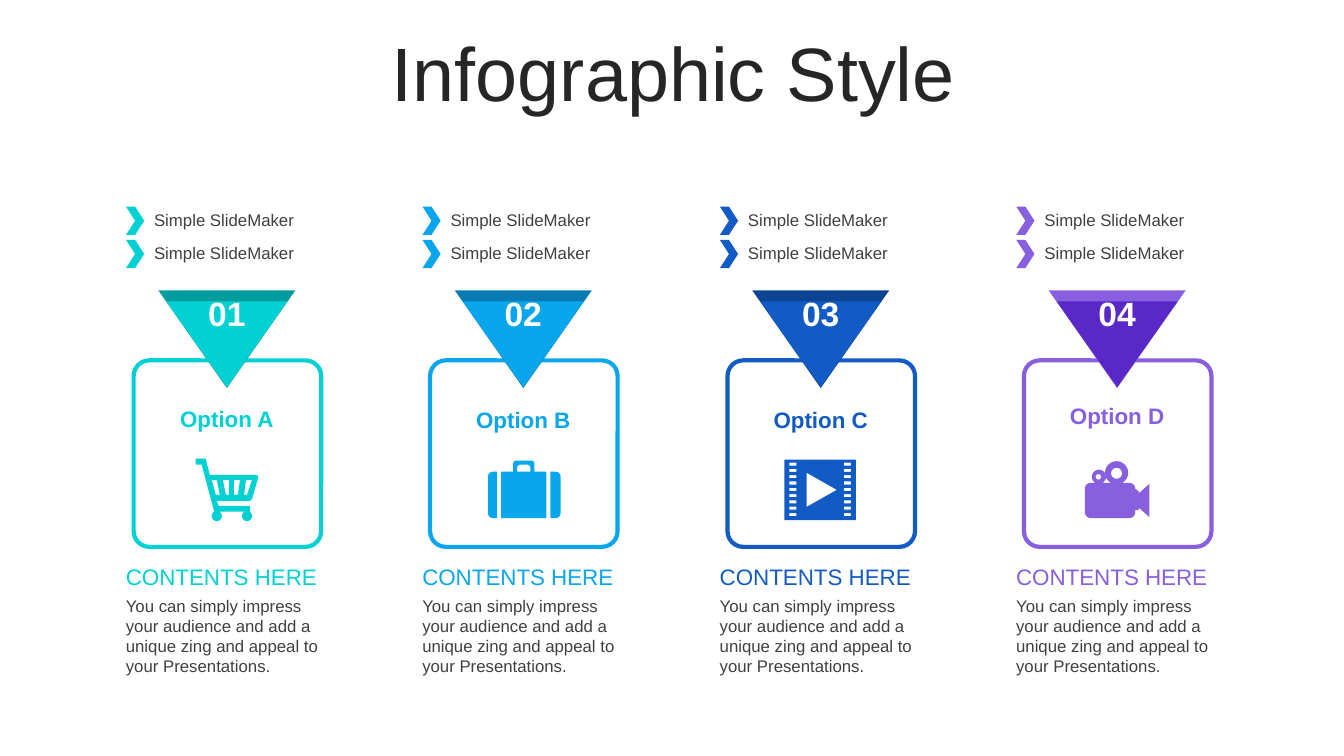
from math import cos, radians, sin
from pptx import Presentation
from pptx import util as u
from pptx.dml.color import RGBColor
from pptx.enum import shapes, text

PX = 9144
STEP = 294.33
COLORS = {
    "title": "262626", "body": "404040", "white": "FFFFFF",
    "teal": "01D1D3", "pine": "019D9E", "sky": "0AA6ED", "steel": "087CB2",
    "blue": "125AC4", "navy": "0D4393", "lilac": "875FDF", "grape": "5928C7",
}
KIND = shapes.MSO_SHAPE
MID = text.PP_ALIGN.CENTER
TOP, CORE, LOW = text.MSO_ANCHOR.TOP, text.MSO_ANCHOR.MIDDLE, text.MSO_ANCHOR.BOTTOM
BULLET = "Simple SlideMaker"
BLURB = ("You can simply impress your audience and add a unique zing "
         "and appeal to your Presentations.")


def rgb(name):
    """Return the named colour."""
    return RGBColor.from_string(COLORS[name])


def paint(shape, fill, line=None):
    """Set the fill and the outline of a shape."""
    shape.shadow.inherit = False
    shape.fill.solid()
    shape.fill.fore_color.rgb = rgb(fill)
    if line:
        shape.line.color.rgb = rgb(line)
        shape.line.width = u.Pt(3)
    else:
        shape.line.fill.background()


def add_form(slide, kind, box, fill, line=None, turn=0):
    """Add a painted preset shape."""
    shape = slide.shapes.add_shape(kind, *(n * PX for n in box))
    shape.rotation = turn
    paint(shape, fill, line)
    return shape


def add_label(slide, words, box, size, color, bold=False, align=None, anchor=TOP):
    """Add a text box with one paragraph."""
    frame = slide.shapes.add_textbox(*(n * PX for n in box)).text_frame
    frame.word_wrap = True
    frame.vertical_anchor = anchor
    frame.text = words
    para = frame.paragraphs[0]
    para.alignment = align
    font = para.runs[0].font
    font.name, font.size, font.bold = "Arial", u.Pt(size), bold
    font.color.rgb = rgb(color)
    return para


def arc(x, y, r, start=0, end=360):
    """Return points along a clockwise arc."""
    turns = [radians(start + (end - start) * n / 20) for n in range(21)]
    return [(x + r * cos(a), y + r * sin(a)) for a in turns]


def bar(x, y, w, h):
    """Return the corners of a rectangle."""
    return [(x, y), (x + w, y), (x + w, y + h), (x, y + h)]


def cart():
    """Return the outlines of a shopping cart."""
    frame = [(194, 455), (204, 455), (208, 471), (253, 471), (256, 472), (256, 474),
             (250, 495), (248, 497), (215, 497), (217, 502), (248, 502), (248, 507)]
    frame += arc(245, 512, 5, -60, 240) + arc(215, 512, 5, -60, 240)
    frame += [(200, 461), (194, 461)]
    return [frame,
            [(244, 476), (242, 491), (245, 491), (250, 476)],
            [(232, 476), (232, 491), (236, 491), (238, 476)],
            [(221, 476), (224, 491), (227, 491), (227, 476)],
            [(210, 476), (214, 491), (218, 491), (215, 476)]]


def case():
    """Return the outlines of a suitcase."""
    left = [(493, 514)] + arc(489, 509, 5, 90, 180) + arc(489, 473, 5, 180, 270) + [(493, 468)]
    right = [(546, 468)] + arc(551, 473, 5, 270, 360) + arc(551, 509, 5, 0, 90) + [(546, 514)]
    body = [(497, 468), (509, 468)] + arc(512, 460, 3, 180, 270)
    body += arc(527, 460, 3, 270, 360) + [(530, 468), (542, 468), (542, 514), (497, 514)]
    grip = [(513, 468)] + arc(516, 464, 3, 180, 270) + arc(523, 464, 3, 270, 360) + [(526, 468)]
    return [left, right, body, grip]


def film():
    """Return the outlines of a film frame."""
    holes = [bar(x, 459 + 6.25 * row, 7, 3) for x in (783, 837) for row in range(9)]
    return [bar(778, 456, 71, 60), [(800, 469), (800, 503), (830, 486)]] + holes


def camera():
    """Return the outlines of a film camera."""
    body = arc(1090, 473, 7, 121, 419) + arc(1107.5, 469, 11.5, 120, 420)
    body += arc(1120, 485, 6, 270, 360) + [(1129, 487), (1130, 489), (1140, 480)]
    body += [(1140, 513), (1130, 504), (1129, 506), (1126, 506)]
    body += arc(1120, 508, 6, 0, 90) + arc(1082, 508, 6, 90, 180)
    body += arc(1082, 485, 6, 180, 270)
    return [body, arc(1089.5, 473, 2.75), arc(1107.5, 469.5, 5.5)]


def add_icon(slide, parts, color):
    """Draw closed outlines as one shape with holes."""
    pen = None
    for part in parts:
        first, *rest = [(x * PX, y * PX) for x, y in part]
        if pen is None:
            pen = slide.shapes.build_freeform(*first, scale=1.0)
        else:
            pen.move_to(*first)
        pen.add_line_segments(rest, close=True)
    paint(pen.convert_to_shape(), color)


def add_option(slide, x, num, name, y, main, rim, tip, icon):
    """Add one column of the infographic."""
    card = add_form(slide, KIND.ROUNDED_RECTANGLE, (x + 8, 357, 185, 186), "white", main, 90)
    card.adjustments[0] = 0.084
    add_form(slide, KIND.ISOSCELES_TRIANGLE, (x + 32, 288, 136, 97), rim, turn=180)
    add_form(slide, KIND.ISOSCELES_TRIANGLE, (x + 40, 299, 120, 85), tip, turn=180)
    for top in (205, 238):
        add_form(slide, KIND.CHEVRON, (x, top, 18, 28), main)
        add_label(slide, BULLET, (x + 18, top - 2, 183, 30), 12, "body")
    add_label(slide, BLURB, (x - 10, 586, 220, 91), 12, "body")
    add_label(slide, "CONTENTS HERE", (x - 10, 553, 220, 37), 16, main, anchor=LOW)
    add_label(slide, num, (x + 60, 286, 80, 50), 24, "white", True, MID)
    add_label(slide, name, (x + 34, y, 132, 37), 16, main, True, MID)
    add_icon(slide, icon, main)


def main():
    """Build and save the slide."""
    deck = Presentation()
    deck.slide_width, deck.slide_height = 1333 * PX, 750 * PX
    slide = deck.slides.add_slide(deck.slide_layouts[6])
    title = add_label(slide, "Infographic Style", (35, 37, 1266, 79), 54, "title",
                      align=MID, anchor=CORE)
    title.line_spacing = 0.9
    options = [
        ("Option A", 397, "teal", "pine", "teal", cart()),
        ("Option B", 398, "sky", "steel", "sky", case()),
        ("Option C", 398, "blue", "navy", "blue", film()),
        ("Option D", 394, "lilac", "lilac", "grape", camera()),
    ]
    for i, option in enumerate(options):
        add_option(slide, 125 + round(i * STEP), f"{i + 1:02}", *option)
    deck.save("out.pptx")


if __name__ == "__main__":
    main()
